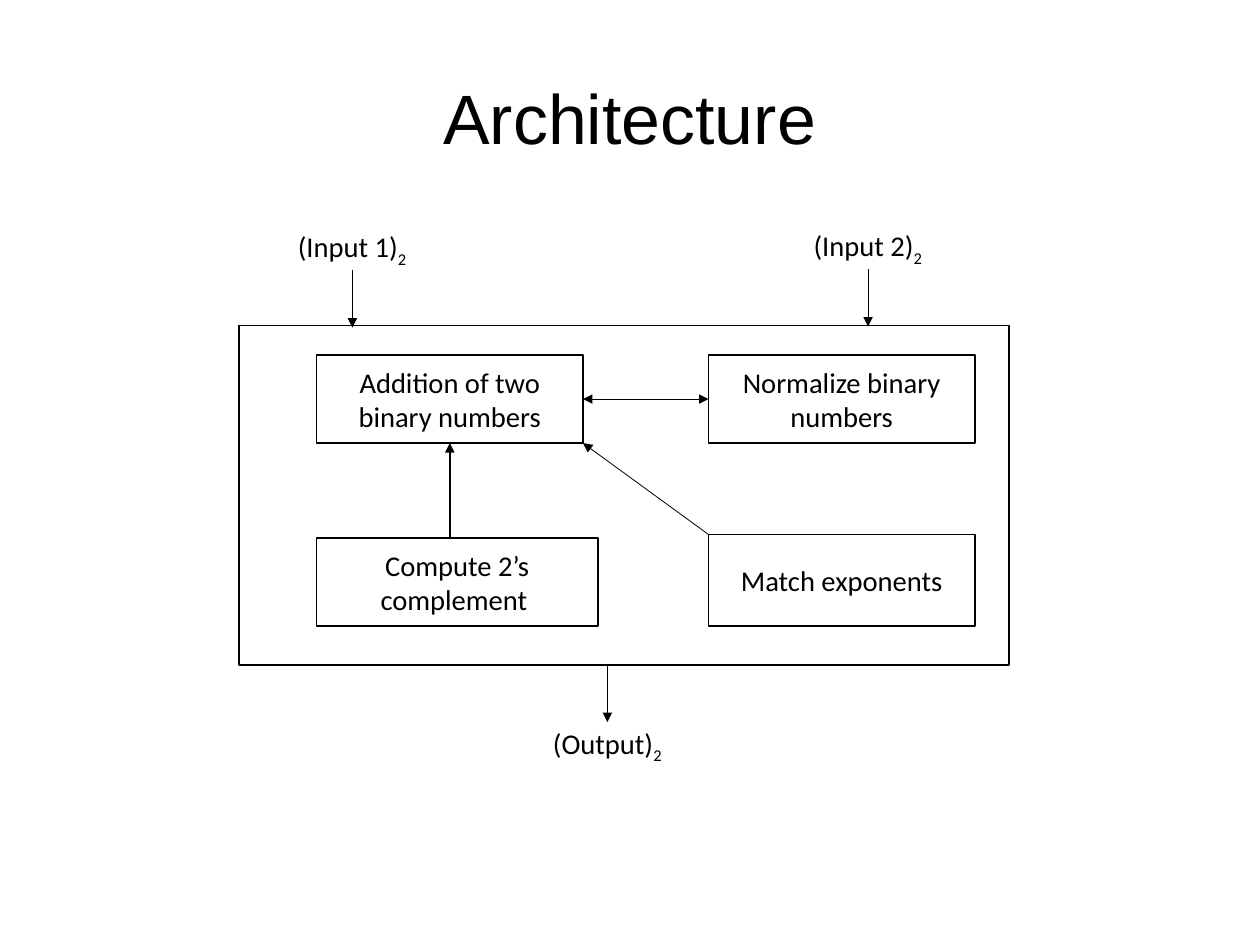
from lxml.etree import SubElement
from pptx import Presentation
from pptx.dml.color import RGBColor
from pptx.enum.shapes import MSO_CONNECTOR, MSO_SHAPE
from pptx.enum.text import MSO_ANCHOR, MSO_AUTO_SIZE, PP_ALIGN
from pptx.oxml.ns import qn
from pptx.util import Cm, Pt

BLACK = RGBColor(0x00, 0x00, 0x00)
WHITE = RGBColor(0xFF, 0xFF, 0xFF)
SLIDE_WIDTH = Cm(28)
SLIDE_HEIGHT = Cm(21)
GRID = 100

LEFT_COLUMN, RIGHT_COLUMN = 25.13, 56.23
BLOCK_WIDTH, BLOCK_HEIGHT = 21.14, 9.31
LABEL_WIDTH, LABEL_HEIGHT = 10.43, 5.32
ARROW_LENGTH = 6.05
LABEL_TO_ARROW = 4.94


def column(count):
    return round(SLIDE_WIDTH * count / GRID)


def row(count):
    return round(SLIDE_HEIGHT * count / GRID)


def area(left, top, width, height):
    return column(left), row(top), column(width), row(height)


def style_font(span, size, name):
    span.font.size = Pt(size)
    span.font.name = name
    span.font.color.rgb = BLACK


def add_title(slide, text):
    box = slide.shapes.add_textbox(*area(5, 4, 90, 16.69))
    frame = box.text_frame
    frame.word_wrap = True
    frame.vertical_anchor = MSO_ANCHOR.MIDDLE
    frame.margin_left = frame.margin_right = frame.margin_top = frame.margin_bottom = 0
    frame.text = text
    para = frame.paragraphs[0]
    para.alignment = PP_ALIGN.CENTER
    style_font(para.runs[0], 44, "Arial")


def add_outline(slide, left, top, width, height):
    box = slide.shapes.add_shape(MSO_SHAPE.RECTANGLE, *area(left, top, width, height))
    box.shadow.inherit = False
    box.fill.background()
    box.line.color.rgb = BLACK
    box.line.width = Pt(1)
    return box


def add_block(slide, text, left, top, width=BLOCK_WIDTH, height=BLOCK_HEIGHT):
    box = add_outline(slide, left, top, width, height)
    box.fill.solid()
    box.fill.fore_color.rgb = WHITE
    frame = box.text_frame
    frame.word_wrap = True
    frame.vertical_anchor = MSO_ANCHOR.MIDDLE
    frame.text = text
    para = frame.paragraphs[0]
    para.alignment = PP_ALIGN.CENTER
    style_font(para.runs[0], 18, "Calibri")
    return box


def add_label(slide, text, left, top):
    box = slide.shapes.add_textbox(*area(left, top, LABEL_WIDTH, LABEL_HEIGHT))
    frame = box.text_frame
    frame.word_wrap = False
    frame.auto_size = MSO_AUTO_SIZE.SHAPE_TO_FIT_TEXT
    para = frame.paragraphs[0]
    for part in (text, "2"):
        span = para.add_run()
        span.text = part
        style_font(span, 18, "Calibri")
    span.font._element.set("baseline", "-25000")
    return box


def add_arrow(slide, start=(0, 0), end=(0, 0), width=0.5, both_ends=False):
    arrow = slide.shapes.add_connector(MSO_CONNECTOR.STRAIGHT, *start, *end)
    arrow.line.color.rgb = BLACK
    arrow.line.width = Pt(width)
    line = arrow.line._get_or_add_ln()
    for tag in ("a:headEnd", "a:tailEnd") if both_ends else ("a:tailEnd",):
        SubElement(line, qn(tag), type="triangle")
    SubElement(arrow._element.spPr, qn("a:effectLst"))
    return arrow


def add_vertical_arrow(slide, label, top):
    middle = label.left + label.width // 2
    return add_arrow(slide, (middle, top), (middle, top + row(ARROW_LENGTH)))


def main():
    deck = Presentation()
    deck.slide_width, deck.slide_height = SLIDE_WIDTH, SLIDE_HEIGHT
    slide = deck.slides.add_slide(deck.slide_layouts[6])

    add_title(slide, "Architecture")
    system = add_outline(slide, 18.95, 34.46, 61.14, 35.91)

    addition = add_block(slide, "Addition of two binary numbers", LEFT_COLUMN, 37.58)
    normalize = add_block(slide, "Normalize binary numbers", RIGHT_COLUMN, 37.58)
    complement = add_block(slide, "Compute 2’s complement ", LEFT_COLUMN, 56.95, width=22.32)
    exponents = add_block(slide, "Match exponents", RIGHT_COLUMN, 56.56, height=9.67)

    exchange = add_arrow(slide, both_ends=True)
    exchange.begin_connect(addition, 3)
    exchange.end_connect(normalize, 1)

    addition_middle = addition.left + addition.width // 2
    addition_bottom = addition.top + addition.height
    rise = add_arrow(slide, (addition_middle, complement.top),
                     (addition_middle, addition_bottom), width=1.5)
    rise.end_connect(addition, 2)
    add_arrow(slide, (exponents.left, exponents.top),
              (addition.left + addition.width, addition_bottom))

    for text, left, top in (("(Input 1)", 22.75, 23.68), ("(Input 2)", 63.68, 23.56)):
        label = add_label(slide, text, left, top)
        add_vertical_arrow(slide, label, label.top + row(LABEL_TO_ARROW))
    output = add_label(slide, "(Output)", 42.99, 76.18)
    add_vertical_arrow(slide, output, system.top + system.height)

    deck.save("out.pptx")


if __name__ == "__main__":
    main()
